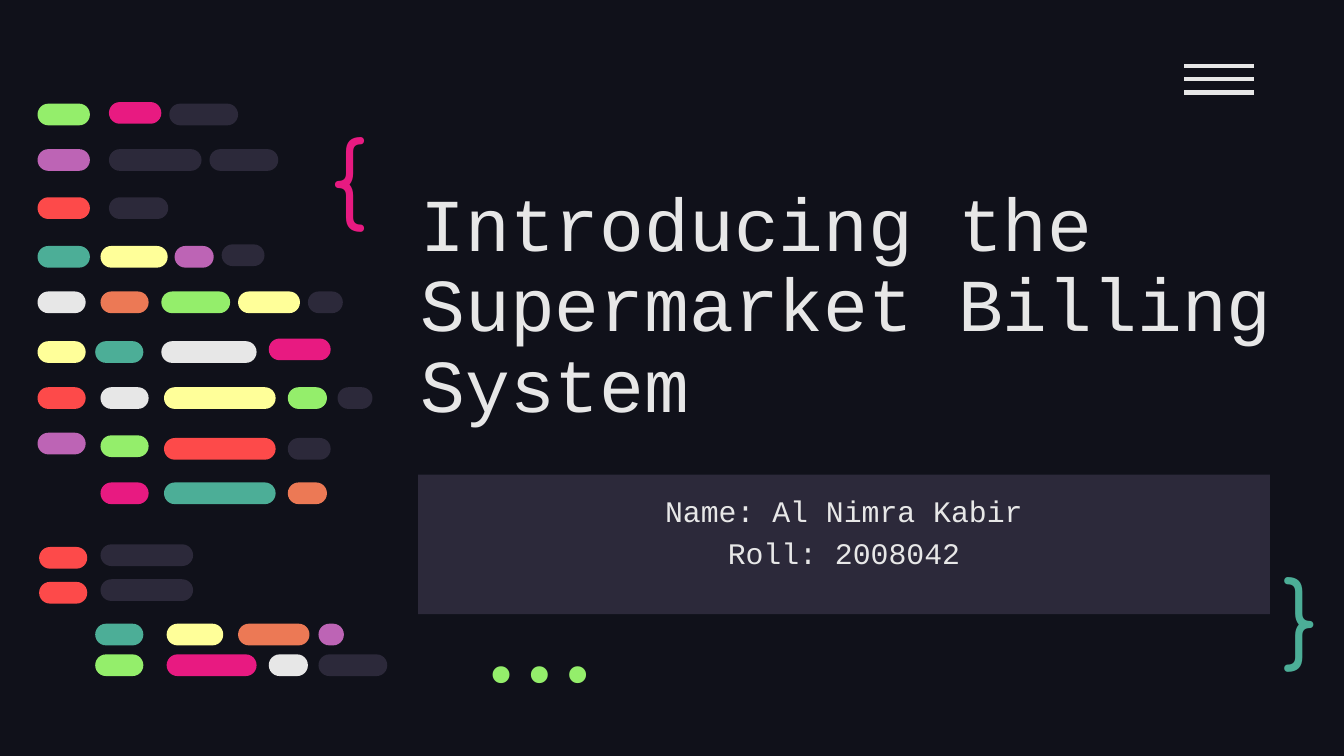
from dataclasses import dataclass

from pptx import Presentation
from pptx import util as u
from pptx.dml.color import RGBColor
from pptx.enum import shapes, text
from pptx.oxml.ns import qn


@dataclass(frozen=True)
class Theme:
    """Colours, fonts and type sizes."""
    night: str = "10111A"
    slate: str = "2C293A"
    white: str = "E7E7E7"
    green: str = "94EE6B"
    pink: str = "E81A81"
    purple: str = "BD64B5"
    red: str = "FD4A4A"
    teal: str = "4CAE97"
    yellow: str = "FFFF99"
    orange: str = "EC7955"
    body_font: str = "Courier New"
    brace_font: str = "Comfortaa"
    dots_font: str = "Fira Code"
    title_size: int = 40
    body_size: int = 16
    sign_size: int = 50


T = Theme()
LEFT, CENTER, RIGHT = (text.PP_ALIGN.LEFT, text.PP_ALIGN.CENTER,
                       text.PP_ALIGN.RIGHT)
TOP, MIDDLE, BOTTOM = (text.MSO_ANCHOR.TOP, text.MSO_ANCHOR.MIDDLE,
                       text.MSO_ANCHOR.BOTTOM)

PILL_HEIGHT = 0.41
# Rows of code pills: (left, top, width, colour) in cm
PILLS = [
    (0.71, 1.96, 0.99, T.green), (2.06, 1.93, 0.99, T.pink),
    (3.2, 1.96, 1.3, T.slate),

    (0.71, 2.82, 0.99, T.purple), (2.06, 2.82, 1.75, T.slate),
    (3.96, 2.82, 1.3, T.slate),

    (0.71, 3.73, 0.99, T.red), (2.06, 3.73, 1.12, T.slate),

    (0.71, 4.65, 0.99, T.teal), (1.9, 4.65, 1.27, T.yellow),
    (3.3, 4.65, 0.74, T.purple), (4.19, 4.62, 0.81, T.slate),

    (0.71, 5.51, 0.91, T.white), (1.9, 5.51, 0.91, T.orange),
    (3.05, 5.51, 1.3, T.green), (4.5, 5.51, 1.17, T.yellow),
    (5.82, 5.51, 0.66, T.slate),

    (0.71, 6.45, 0.91, T.yellow), (1.8, 6.45, 0.91, T.teal),
    (3.05, 6.45, 1.8, T.white), (5.08, 6.4, 1.17, T.pink),

    (0.71, 7.32, 0.91, T.red), (1.9, 7.32, 0.91, T.white),
    (3.1, 7.32, 2.11, T.yellow), (5.44, 7.32, 0.74, T.green),
    (6.38, 7.32, 0.66, T.slate),

    (0.71, 8.18, 0.91, T.purple), (1.9, 8.23, 0.91, T.green),
    (3.1, 8.28, 2.11, T.red), (5.44, 8.28, 0.81, T.slate),

    (1.9, 9.12, 0.91, T.pink), (3.1, 9.12, 2.11, T.teal),
    (5.44, 9.12, 0.74, T.orange),

    (0.74, 10.34, 0.91, T.red), (1.9, 10.29, 1.75, T.slate),
    (0.74, 11, 0.91, T.red), (1.9, 10.95, 1.75, T.slate),

    (1.8, 11.79, 0.91, T.teal), (3.15, 11.79, 1.07, T.yellow),
    (4.5, 11.79, 1.35, T.orange), (6.02, 11.79, 0.48, T.purple),

    (1.8, 12.37, 0.91, T.green), (3.15, 12.37, 1.7, T.pink),
    (5.08, 12.37, 0.74, T.white), (6.02, 12.37, 1.3, T.slate),
]


def rgb(color):
    return RGBColor.from_string(color)


def write(sp, lines, *, font=T.body_font, size, color=T.white, align=LEFT,
          anchor=TOP, spacing=1.0):
    """Fill a shape with one paragraph per line."""
    tf = sp.text_frame
    tf.word_wrap = True
    tf.auto_size = text.MSO_AUTO_SIZE.NONE
    tf.vertical_anchor = anchor
    tf.margin_left = tf.margin_right = u.Cm(0.25)
    tf.margin_top = tf.margin_bottom = u.Cm(0.25)
    for i, line in enumerate(lines):
        p = tf.add_paragraph() if i else tf.paragraphs[0]
        p.alignment, p.line_spacing = align, spacing
        p.space_before = p.space_after = u.Pt(0)
        r = p.add_run()
        r.text = line
        r.font.name, r.font.size = font, u.Pt(size)
        r.font.color.rgb = rgb(color)


class Deck:
    """Holds the theme and the current slide."""

    def __init__(self, prs, theme):
        self.t = theme
        self.s = prs.slides.add_slide(prs.slide_layouts[0])
        fill = self.s.background.fill
        fill.solid()
        fill.fore_color.rgb = rgb(theme.night)

    def placeholder(self, idx, box, lines, fill=None, **fmt):
        sp = self.s.placeholders[idx]
        sp.left, sp.top, sp.width, sp.height = map(u.Cm, box)
        if fill:
            sp.fill.solid()
            sp.fill.fore_color.rgb = rgb(fill)
        write(sp, lines, **fmt)

    def sign(self, box, sign, **fmt):
        sp = self.s.shapes.add_textbox(*map(u.Cm, box))
        write(sp, [sign], size=self.t.sign_size, **fmt)

    def group(self):
        return self.s.shapes.add_group_shape()

    def line(self, group, x1, x2, y):
        ln = group.shapes.add_connector(
            shapes.MSO_CONNECTOR.STRAIGHT, *map(u.Cm, (x1, y, x2, y)))
        ln.line.color.rgb = rgb(self.t.white)
        ln.line.width = u.Pt(2.25)
        spPr = ln._element.spPr
        spPr.append(spPr.makeelement(qn("a:effectLst"), {}))

    def pill(self, group, left, top, width, color):
        sp = group.shapes.add_shape(
            shapes.MSO_SHAPE.ROUNDED_RECTANGLE,
            *map(u.Cm, (left, top, width, PILL_HEIGHT)))
        sp.adjustments[0] = 0.5
        sp.shadow.inherit = False
        sp.fill.solid()
        sp.fill.fore_color.rgb = rgb(color)
        sp.line.fill.background()


def main():
    prs = Presentation()
    prs.slide_width, prs.slide_height = u.Cm(25.4), u.Cm(14.29)
    d = Deck(prs, T)

    # Title and author
    d.placeholder(0, (7.7, 2.69, 17.3, 5.66),
                  ["Introducing the Supermarket Billing System"],
                  size=T.title_size, anchor=BOTTOM, spacing=0.9)
    d.placeholder(1, (7.9, 8.97, 16.1, 2.64),
                  ["Name: Al Nimra Kabir", "Roll: 2008042"], fill=T.slate,
                  size=T.body_size, align=CENTER, spacing=1.15)

    # Braces and dots
    d.sign((5.99, 1.96, 1.96, 2.41), "{", font=T.brace_font, color=T.pink)
    d.sign((24, 10.54, 1.45, 2.11), "}", font=T.brace_font, color=T.teal,
           anchor=MIDDLE)
    d.sign((8.08, 11.99, 4.01, 1.52), "...", font=T.dots_font, color=T.green,
           align=RIGHT, anchor=BOTTOM)

    # Menu icon
    menu = d.group()
    for i in range(3):
        d.line(menu, 22.38, 23.7, 1.25 + 0.25 * i)

    # Code pills
    code = d.group()
    for pill in PILLS:
        d.pill(code, *pill)

    prs.save("out.pptx")


if __name__ == "__main__":
    main()
